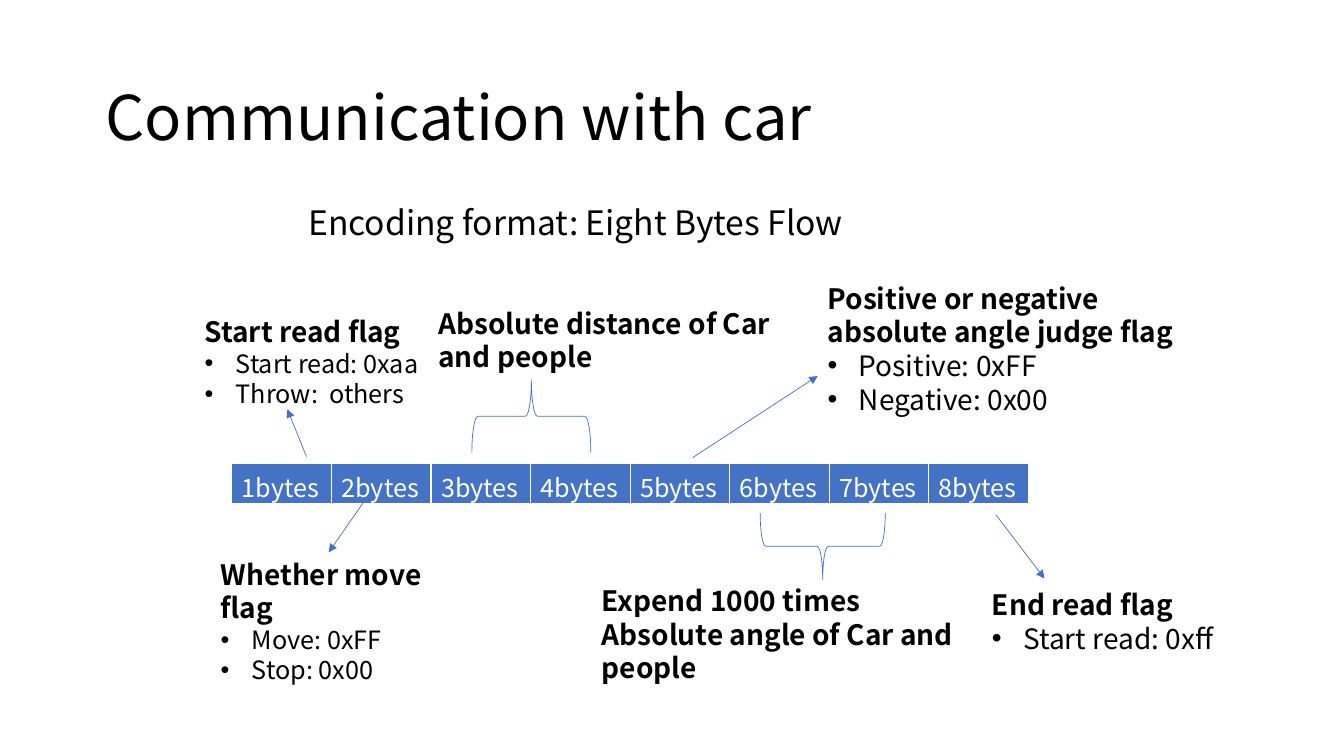
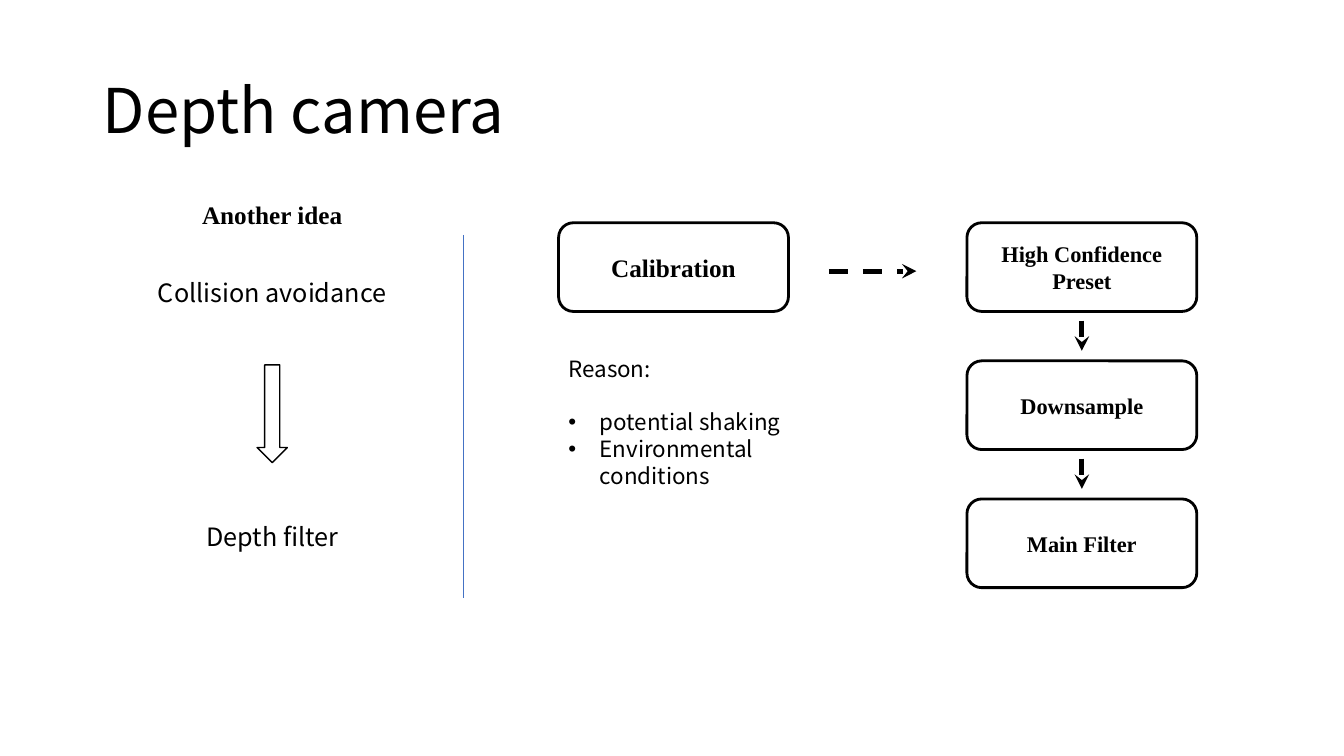
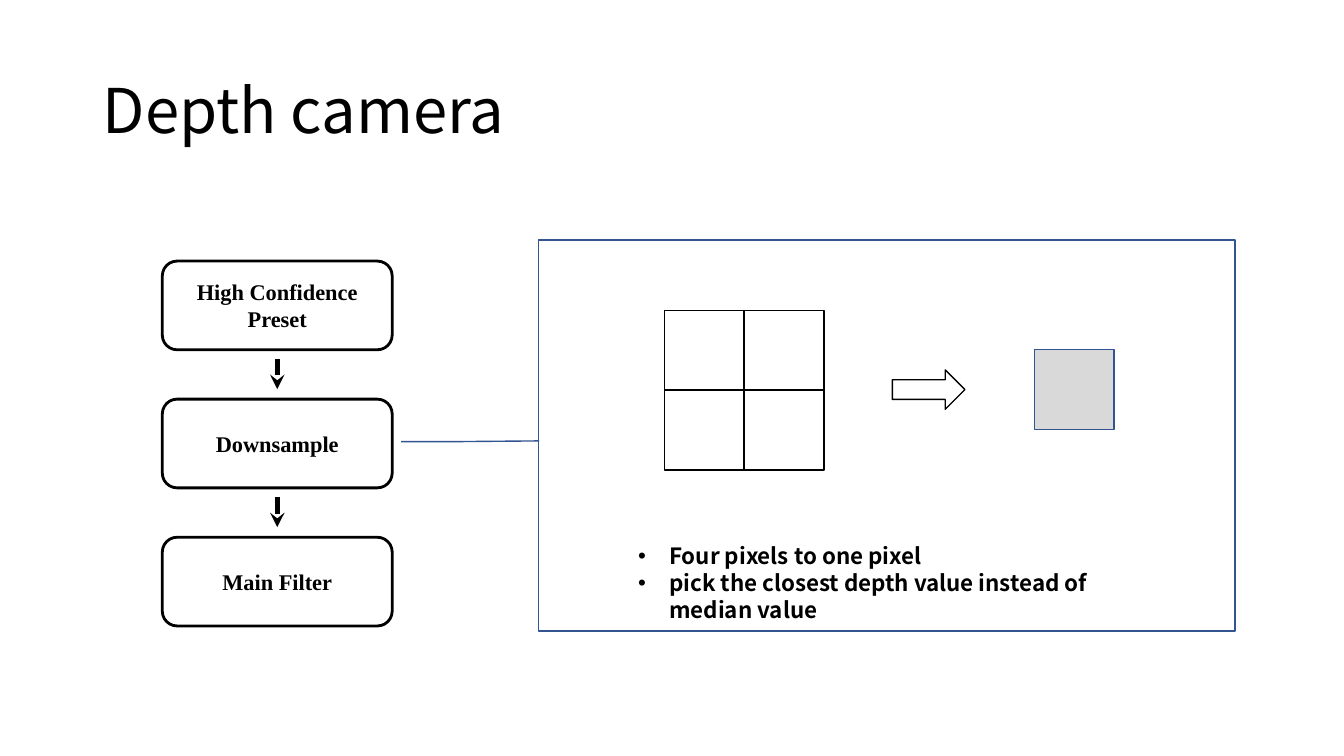
from lxml import etree
from pptx import Presentation
from pptx.dml.color import RGBColor
from pptx.enum import dml, shapes, text
from pptx.oxml import ns
from pptx.util import Inches, Pt

HUE = {"ink": "000000", "paper": "FFFFFF", "blue": "4472C4",
       "navy": "325491", "gray": "D9D9D9"}
SANS, SERIF = "Noto Sans CJK SC", "Times New Roman"
BOX = shapes.MSO_SHAPE
HANG = 0.31

# left, top, width, height, heading, bullets, bullet size
LABELS = [
    (1.93, 3.07, 2.89, 1.04, "Start read flag",
     ["Start read: 0xaa", "Throw:  others"], 18),
    (2.09, 5.48, 2.75, 1.04, "Whether move flag", ["Move: 0xFF", "Stop: 0x00"], 18),
    (4.25, 2.99, 3.88, 0.77, "Absolute distance of Car and people", [], 20),
    (8.11, 2.74, 3.69, 1.45, "Positive or negative absolute angle judge flag",
     ["Positive: 0xFF", "Negative: 0x00"], 20),
    (5.87, 5.74, 3.88, 0.77, "Expend 1000 times Absolute angle of Car and people", [], 20),
    (9.74, 5.78, 2.56, 0.77, "End read flag", ["Start read: 0xff"], 20),
]
POINTERS = [(3.04, 4.53, 2.85, 4.06), (3.67, 4.89, 3.26, 5.48),
            (6.87, 4.54, 8.11, 3.73), (9.88, 5.11, 10.36, 5.74)]
BRACES = [(4.91, 3.54, 0.72, 1.18, 90), (7.83, 4.8, 0.66, 1.24, 270)]
BYTES = [f"{n}bytes" for n in range(1, 9)]
STEPS = ["High Confidence Preset", "Downsample", "Main Filter"]
IDEAS = [(1.75, 1.93, 1.9, "Another idea", {"name": SERIF, "bold": True}),
         (1.46, 2.7, 2.48, "Collision avoidance", {}),
         (1.46, 5.12, 2.48, "Depth filter", {})]
REASONS = ["potential shaking", "Environmental conditions"]
NOTES = ["Four pixels to one pixel",
         "pick the closest depth value instead of median value"]
STEP_W, STEP_H, PITCH, GAP = 2.28, 0.88, 1.37, 0.09
CALLOUT = [0.514, 0.001, 0.516, -0.131, 0.516, -0.197]


def rgb(hue):
    return RGBColor.from_string(HUE[hue])


def sub(node, tag, **attrs):
    return etree.SubElement(node, ns.qn(tag), attrs)


def style(para, size, hue="ink", **form):
    for key, val in {"name": SANS, "size": Pt(size), "bold": False, **form}.items():
        setattr(para.font, key, val)
    para.font.color.rgb = rgb(hue)


def bullet(para):
    props = para._p.get_or_add_pPr()
    props.set("marL", str(Inches(HANG)))
    props.set("indent", str(-Inches(HANG)))
    sub(props, "a:buFont", typeface="Arial")
    sub(props, "a:buChar", char="•")


def write(slide, at, paras, align=None, middle=False):
    """Add a text box; each paragraph is (words, size, is bullet, font values)."""
    frame = slide.shapes.add_textbox(*map(Inches, at)).text_frame
    frame.word_wrap = True
    if middle:
        frame.vertical_anchor = text.MSO_ANCHOR.MIDDLE
    for i, (words, size, dot, form) in enumerate(paras):
        para = frame.add_paragraph() if i else frame.paragraphs[0]
        para.text = words
        para.alignment = align
        if dot:
            bullet(para)
        style(para, size, **form)
    return frame


def title(slide, words, left=0.92, top=0.4):
    frame = write(slide, (left, top, 11.5, 1.45), [(words, 44, False, {})], middle=True)
    frame.paragraphs[0].line_spacing = 0.9


def shape(slide, kind, at, width, hue="ink", fill=None):
    item = slide.shapes.add_shape(kind, *map(Inches, at))
    item.shadow.inherit = False
    item.line.width = Pt(width)
    item.line.color.rgb = rgb(hue)
    if fill:
        item.fill.solid()
        item.fill.fore_color.rgb = rgb(fill)
    else:
        item.fill.background()
    return item


def line(slide, ends, width, hue="ink", head=None, dash=None):
    item = slide.shapes.add_connector(shapes.MSO_CONNECTOR.STRAIGHT, *map(Inches, ends))
    item.line.width = Pt(width)
    item.line.color.rgb = rgb(hue)
    if dash:
        item.line.dash_style = dash
    if head:
        sub(item.line._get_or_add_ln(), "a:tailEnd", type=head)
    sub(item._element.spPr, "a:effectLst")


def step(slide, left, top, words, size=16):
    item = shape(slide, BOX.ROUNDED_RECTANGLE, (left, top, STEP_W, STEP_H), 2)
    frame = item.text_frame
    frame.word_wrap = True
    frame.vertical_anchor = text.MSO_ANCHOR.MIDDLE
    para = frame.paragraphs[0]
    para.text = words
    para.alignment = text.PP_ALIGN.CENTER
    style(para, size, name=SERIF, bold=True)


def chain(slide, left, top):
    """Stack the filter steps with an arrow between neighbours."""
    mid = left + STEP_W / 2
    for i, words in enumerate(STEPS):
        y = top + i * PITCH
        step(slide, left, y, words)
        if i:
            line(slide, (mid, y - PITCH + STEP_H + GAP, mid, y - GAP - 0.01),
                 3.5, head="stealth")


def strip(slide):
    """Add the row of eight bytes."""
    table = slide.shapes.add_table(1, len(BYTES), *map(Inches, (2.3, 4.6, 7.9, 0.41))).table
    for cell, words in zip(table.rows[0].cells, BYTES):
        cell.text = words
        style(cell.text_frame.paragraphs[0], 18, "paper")
        props = cell._tc.get_or_add_tcPr()
        for side, width in zip("LRTB", (1, 1, 1, 3)):
            edge = sub(props, f"a:ln{side}", w=str(Pt(width)))
            sub(sub(edge, "a:solidFill"), "a:srgbClr", val=HUE["paper"])
        cell.fill.solid()
        cell.fill.fore_color.rgb = rgb("blue")


def message(slide):
    title(slide, "Communication with car", 0.95, 0.47)
    write(slide, (2.96, 1.95, 7.25, 0.5),
          [("Encoding format: Eight Bytes Flow", 24, False, {})])
    strip(slide)
    for *at, head, points, size in LABELS:
        write(slide, at, [(head, 20, False, {"bold": True})]
              + [(p, size, True, {}) for p in points])
    for ends in POINTERS:
        line(slide, ends, 0.5, "blue", "triangle")
    for *at, turn in BRACES:
        shape(slide, BOX.LEFT_BRACE, at, 0.5, "blue").rotation = turn


def camera(slide):
    title(slide, "Depth camera")
    for left, top, width, words, form in IDEAS:
        write(slide, (left, top, width, 0.4), [(words, 18, False, form)],
              text.PP_ALIGN.CENTER)
    shape(slide, BOX.DOWN_ARROW, (2.55, 3.62, 0.3, 0.97), 1)
    line(slide, (4.6, 2.33, 4.6, 5.93), 0.5, "blue")
    step(slide, 5.54, 2.21, "Calibration", 18)
    line(slide, (8.22, 2.69, 9.09, 2.69), 3.5, head="stealth",
         dash=dml.MSO_LINE.DASH)
    chain(slide, 9.59, 2.21)
    frame = write(slide, (5.54, 3.47, 3.06, 1.18), [("Reason:", 16, False, {})]
                  + [(r, 16, True, {}) for r in REASONS])
    frame.paragraphs[1].space_before = Pt(19)


def sample(slide):
    title(slide, "Depth camera")
    chain(slide, 1.61, 2.59)
    panel = shape(slide, BOX.LINE_CALLOUT_2, (5.34, 2.38, 6.91, 3.88), 1, "navy")
    for i, val in enumerate(CALLOUT):
        panel.adjustments[i] = val
    x, y, side = 6.59, 3.08, 1.58
    half = side / 2
    shape(slide, BOX.RECTANGLE, (x, y, side, side), 1.25)
    line(slide, (x + half, y, x + half, y + side), 1.25)
    line(slide, (x, y + half, x + side, y + half), 1.25)
    shape(slide, BOX.RIGHT_ARROW, (8.85, 3.67, 0.72, 0.39), 1)
    shape(slide, BOX.RECTANGLE, (10.26, 3.47, half, half), 1, "navy", "gray")
    write(slide, (6.23, 5.33, 5.13, 0.91),
          [(n, 16, True, {"bold": True}) for n in NOTES])


def main():
    deck = Presentation()
    deck.slide_width, deck.slide_height = Inches(13.33), Inches(7.5)
    for build in (message, camera, sample):
        build(deck.slides.add_slide(deck.slide_layouts[6]))
    deck.save("out.pptx")


if __name__ == "__main__":
    main()
